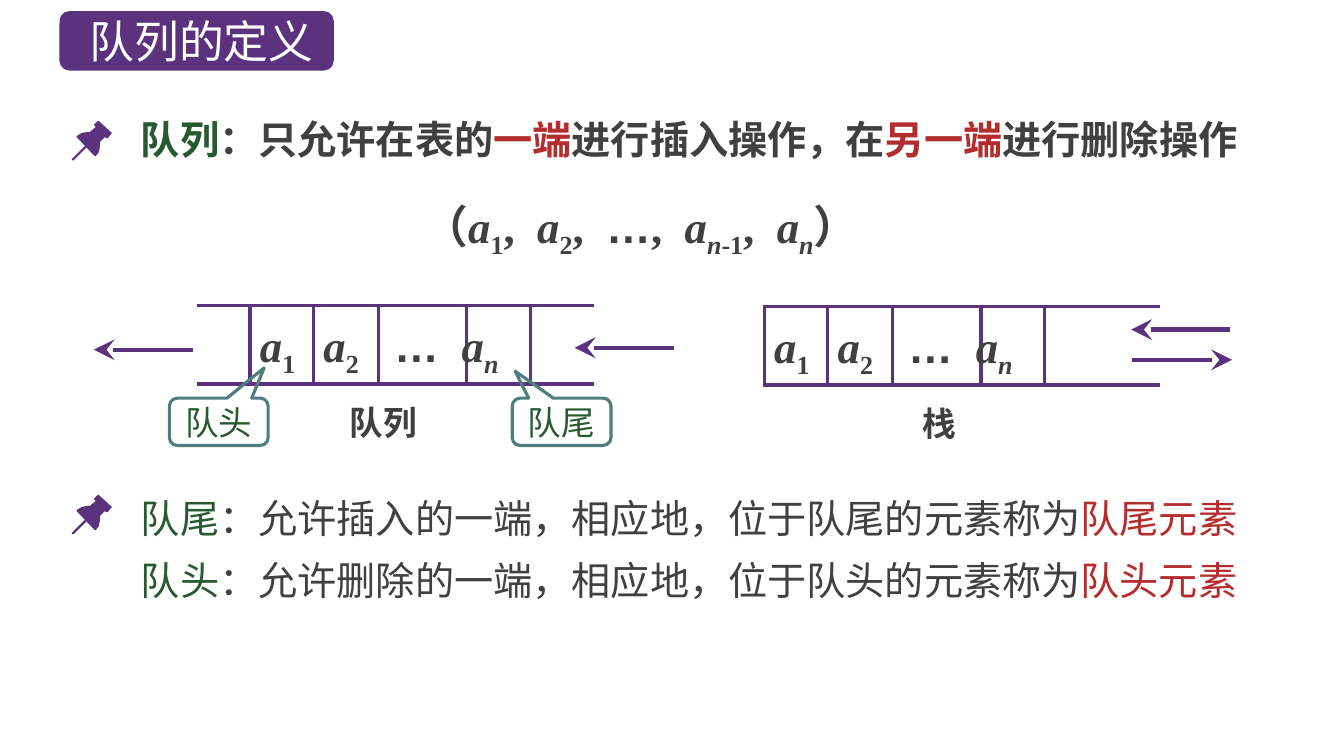
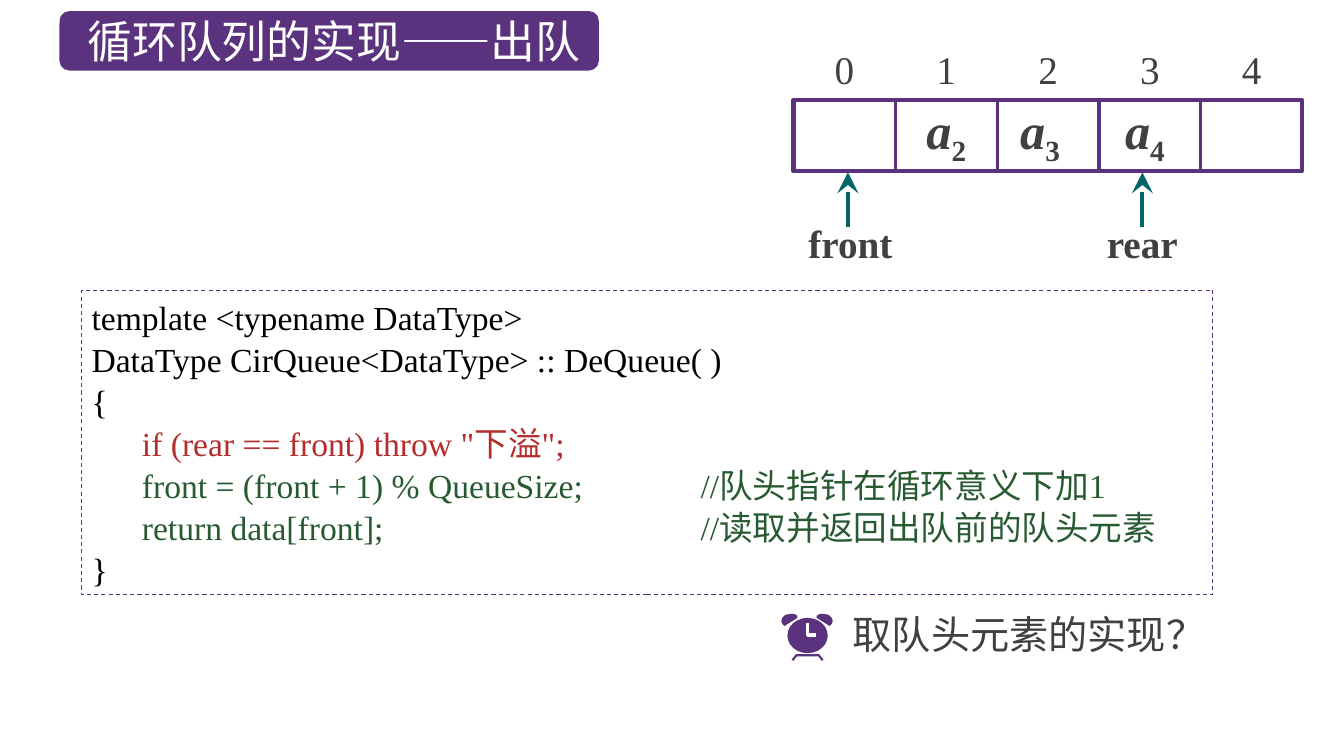
from lxml import etree
from pptx import Presentation
from pptx.dml.color import RGBColor
from pptx.enum.dml import MSO_LINE
from pptx.enum.shapes import MSO_CONNECTOR, MSO_SHAPE
from pptx.enum.text import MSO_ANCHOR, PP_ALIGN
from pptx.oxml.ns import qn
from pptx.util import Inches, Pt

PURPLE = RGBColor(0x5A, 0x32, 0x7D)
GREEN = RGBColor(0x28, 0x5A, 0x32)
RED = RGBColor(0xB4, 0x2D, 0x2D)
GREY = RGBColor(0x40, 0x40, 0x40)
TEAL = RGBColor(0x50, 0x7D, 0x7D)
DARK_TEAL = RGBColor(0x00, 0x66, 0x66)
BLACK = RGBColor(0, 0, 0)
WHITE = RGBColor(0xFF, 0xFF, 0xFF)
CJK = "Noto Sans CJK SC"
SERIF = "Times New Roman"

# Run formats
VAR = {"italic": True}
SUB = {"sub": True}
VAR_SUB = {"italic": True, "sub": True}
DOTS = {"name": "Arial", "ea": "Arial"}


def write(sp, runs, align=PP_ALIGN.LEFT, **base):
    """Add one paragraph of (text, format) runs to a shape."""
    tf = sp.text_frame
    tf.word_wrap = True
    p = tf.add_paragraph() if tf.text else tf.paragraphs[0]
    p.alignment = align
    for text, own in runs:
        fmt = {"name": SERIF, "color": GREY, "ea": CJK, "sub": False, **base, **own}
        color, ea, sub = (fmt.pop(key) for key in ("color", "ea", "sub"))
        r = p.add_run()
        r.text = text
        r.font.color.rgb = color
        for key, value in fmt.items():
            setattr(r.font, key, value)
        rPr = r._r.get_or_add_rPr()
        etree.SubElement(rPr, qn("a:ea"), typeface=ea)
        if sub:
            rPr.set("baseline", "-25000")
    return p


def line(s, x1, y1, x2, y2, color=PURPLE, width=2.25, arrow=False):
    """Draw a straight line, with an arrowhead at its end if asked."""
    c = s.shapes.add_connector(MSO_CONNECTOR.STRAIGHT, *map(Inches, (x1, y1, x2, y2)))
    c.line.color.rgb = color
    c.line.width = Pt(width)
    if arrow:
        etree.SubElement(c.line._get_or_add_ln(), qn("a:tailEnd"),
                         type="stealth", w="lg", len="lg")
    etree.SubElement(c._element.spPr, qn("a:effectLst"))


prs = Presentation()
prs.slide_width, prs.slide_height = Inches(13.33), Inches(7.5)

# Slides with their title bands
slides = []
for title, width in [("队列的定义", 2.72), ("循环队列的实现——出队", 5.35)]:
    s = prs.slides.add_slide(prs.slide_layouts[6])
    sp = s.shapes.add_shape(MSO_SHAPE.ROUNDED_RECTANGLE,
                            *map(Inches, (0.59, 0.11, width, 0.59)))
    sp.shadow.inherit = False
    sp.fill.solid()
    sp.fill.fore_color.rgb = PURPLE
    sp.line.fill.background()
    tf = sp.text_frame
    tf.vertical_anchor = MSO_ANCHOR.MIDDLE
    tf.margin_right = tf.margin_top = tf.margin_bottom = 0
    write(sp, [(title, {})], PP_ALIGN.CENTER, name=CJK, size=Pt(32), color=WHITE)
    slides.append(s)
definition, dequeue = slides

# Slide 1: definitions
s = definition
sentences = [
    (1.09, True, [("队列", GREEN), ("：只允许在表的", GREY), ("一端", RED),
                  ("进行插入操作，在", GREY), ("另一端", RED), ("进行删除操作", GREY)]),
    (4.85, False, [("队尾", GREEN), ("：允许插入的一端，相应地，位于队尾的元素称为", GREY),
                   ("队尾元素", RED)]),
    (5.47, False, [("队头", GREEN), ("：允许删除的一端，相应地，位于队头的元素称为", GREY),
                   ("队头元素", RED)]),
]
for y, bold, parts in sentences:
    sp = s.shapes.add_textbox(*map(Inches, (1.3, y, 11.51, 0.57)))
    write(sp, [(text, {"color": color}) for text, color in parts],
          name=SERIF if bold else CJK, size=Pt(28), bold=bold)

# Slide 1: sequence of elements
sp = s.shapes.add_textbox(*map(Inches, (4.1, 1.92, 5.42, 0.64)))
write(sp, [("（", {}), ("a", VAR), ("1", SUB), (",  ", {}), ("a", VAR), ("2", SUB),
           (",  ", {}), ("…", DOTS), (",  ", {}), ("a", VAR), ("n", VAR_SUB), ("-1", SUB),
           (",  ", {}), ("a", VAR), ("n", VAR_SUB), ("）", {})], size=Pt(32), bold=True)

# Slide 1: queue and stack, each with two rails, dividers and elements
cells = [
    (0, [("a", VAR), ("1", SUB)]),
    (0.63, [("a", VAR), ("2", SUB)]),
    (1.33, [("…", DOTS)]),
    (2, [("a", VAR), ("n", VAR_SUB)]),
]
for name, name_x, rail_x, first_x, top in [("队列", 3.37, 1.95, 2.48, 3.03),
                                           ("栈", 9.05, 7.57, 7.58, 3.04)]:
    for y in (top, top + 0.78):
        line(s, rail_x, y, rail_x + 3.94, y)
    for dx in (0, 0.63, 1.27, 2.15, 2.78):
        line(s, first_x + dx, top, first_x + dx, top + 0.79)
    for dx, runs in cells:
        sp = s.shapes.add_textbox(*map(Inches, (first_x + dx, top + 0.07, 0.8, 0.64)))
        write(sp, runs, size=Pt(32), bold=True)
    sp = s.shapes.add_textbox(*map(Inches, (name_x, top + 0.91, 1.03, 0.5)))
    write(sp, [(name, {})], size=Pt(24), bold=True)

for x1, x2, y in [(6.68, 5.7, 3.45), (1.91, 0.93, 3.47),
                  (12.2, 11.22, 3.27), (11.23, 12.22, 3.57)]:
    line(s, x1, y, x2, y, width=3, arrow=True)

# Slide 1: callouts for head and tail
for text, x, tip in [("队头", 1.68, (0.46, -1.14)), ("队尾", 5.08, (-0.47, -1.07))]:
    sp = s.shapes.add_shape(MSO_SHAPE.ROUNDED_RECTANGULAR_CALLOUT,
                            *map(Inches, (x, 3.95, 0.98, 0.47)))
    sp.adjustments[0], sp.adjustments[1] = tip
    sp.shadow.inherit = False
    sp.fill.background()
    sp.line.color.rgb = TEAL
    sp.line.width = Pt(2.25)
    tf = sp.text_frame
    tf.vertical_anchor = MSO_ANCHOR.MIDDLE
    tf.margin_left = tf.margin_right = Inches(0.08)
    tf.margin_top = tf.margin_bottom = Inches(0.04)
    write(sp, [(text, {})], PP_ALIGN.CENTER, name=CJK, size=Pt(24), color=GREEN)

# Slide 2: array frame and code box
s = dequeue
frames = []
for box, width, dash in [((7.87, 0.99, 5.04, 0.71), 3, None),
                         ((0.81, 2.88, 11.22, 3.02), 0.75, MSO_LINE.DASH)]:
    sp = s.shapes.add_shape(MSO_SHAPE.RECTANGLE, *map(Inches, box))
    sp.shadow.inherit = False
    sp.fill.background()
    sp.line.color.rgb = PURPLE
    sp.line.width = Pt(width)
    sp.line.dash_style = dash
    frames.append(sp)
code_box = frames[1]

# Slide 2: array dividers, indexes and elements
CELL = 1.01
for i in range(5):
    x = 7.87 + i * CELL
    if i:
        line(s, x, 0.99, x, 1.7)
    sp = s.shapes.add_textbox(*map(Inches, (x, 0.4, CELL, 0.57)))
    write(sp, [(str(i), {})], PP_ALIGN.CENTER, size=Pt(28))
for number, x in [("2", 9.09), ("3", 10.02), ("4", 11.06)]:
    sp = s.shapes.add_textbox(*map(Inches, (x, 0.93, 0.8, 0.7)))
    write(sp, [("a", VAR), (number, SUB)], size=Pt(36), bold=True)

# Slide 2: front and rear pointers
for name, x, name_x in [("front", 8.41, 7.92), ("rear", 11.33, 10.88)]:
    line(s, x, 2.25, x, 1.71, DARK_TEAL, 3, arrow=True)
    sp = s.shapes.add_textbox(*map(Inches, (name_x, 2.13, 1.13, 0.57)))
    write(sp, [(name, {})], size=Pt(28), bold=True)

# Slide 2: code, with comments on a tab stop
code_box.text_frame.vertical_anchor = MSO_ANCHOR.TOP
for text, color in [
    ("template <typename DataType>", BLACK),
    ("DataType CirQueue<DataType> :: DeQueue( )", BLACK),
    ("{", BLACK),
    ('      if (rear == front) throw "下溢";', RED),
    ("      front = (front + 1) % QueueSize;\t//队头指针在循环意义下加1", GREEN),
    ("      return data[front];\t//读取并返回出队前的队头元素", GREEN),
    ("}", BLACK),
]:
    p = write(code_box, [(text, {})], size=Pt(24), color=color)
    p.line_spacing = Pt(30)
    tabs = etree.SubElement(p._p.get_or_add_pPr(), qn("a:tabLst"))
    etree.SubElement(tabs, qn("a:tab"), pos=str(Inches(6.04)), algn="l")

# Slide 2: question and clock face
sp = s.shapes.add_textbox(*map(Inches, (8.36, 6.01, 3.79, 0.57)))
write(sp, [("取队头元素的实现？", {})], name=CJK, size=Pt(28))
sp = s.shapes.add_shape(MSO_SHAPE.OVAL, *map(Inches, (7.81, 6.13, 0.4, 0.35)))
sp.shadow.inherit = False
sp.fill.solid()
sp.fill.fore_color.rgb = PURPLE
sp.line.fill.background()

# Outlines of the pins and the clock; a width marks an open stroke
pin_head = [(1.11, 1.32), (0.98, 1.2), (0.97, 1.2), (0.93, 1.24), (0.95, 1.26),
            (0.89, 1.31), (0.86, 1.31), (0.81, 1.32), (0.76, 1.35), (0.76, 1.36),
            (0.94, 1.55), (0.95, 1.55), (0.98, 1.51), (0.99, 1.46), (0.99, 1.41),
            (1.04, 1.36), (1.05, 1.37), (1.07, 1.37)]
pin_needle = [(0.72, 1.59), (0.71, 1.58), (0.85, 1.44), (0.87, 1.45), (0.73, 1.59)]
bell = [(7.84, 6.09), (7.79, 6.1), (7.76, 6.13), (7.75, 6.16), (7.76, 6.19),
        (7.78, 6.21), (7.91, 6.13), (7.91, 6.11), (7.88, 6.09)]
feet = [(7.86, 6.55), (7.9, 6.5), (8.12, 6.5), (8.16, 6.55)]
hands = [(8.01, 6.18), (8.01, 6.3), (8.09, 6.3)]
outlines = [(definition, [(x, y + dy) for x, y in part], PURPLE, None)
            for dy in (0, 3.71) for part in (pin_head, pin_needle)]
outlines += [
    (dequeue, bell, PURPLE, None),
    (dequeue, [(16.01 - x, y) for x, y in bell], PURPLE, None),
    (dequeue, feet, PURPLE, 1.5),
    (dequeue, hands, WHITE, 2.25),
]
for s, points, color, width in outlines:
    start, *rest = [(Inches(x), Inches(y)) for x, y in points]
    builder = s.shapes.build_freeform(*start)
    builder.add_line_segments(rest, close=width is None)
    sp = builder.convert_to_shape()
    sp.shadow.inherit = False
    if width:
        sp.fill.background()
        sp.line.color.rgb = color
        sp.line.width = Pt(width)
    else:
        sp.fill.solid()
        sp.fill.fore_color.rgb = color
        sp.line.fill.background()

prs.save("out.pptx")
